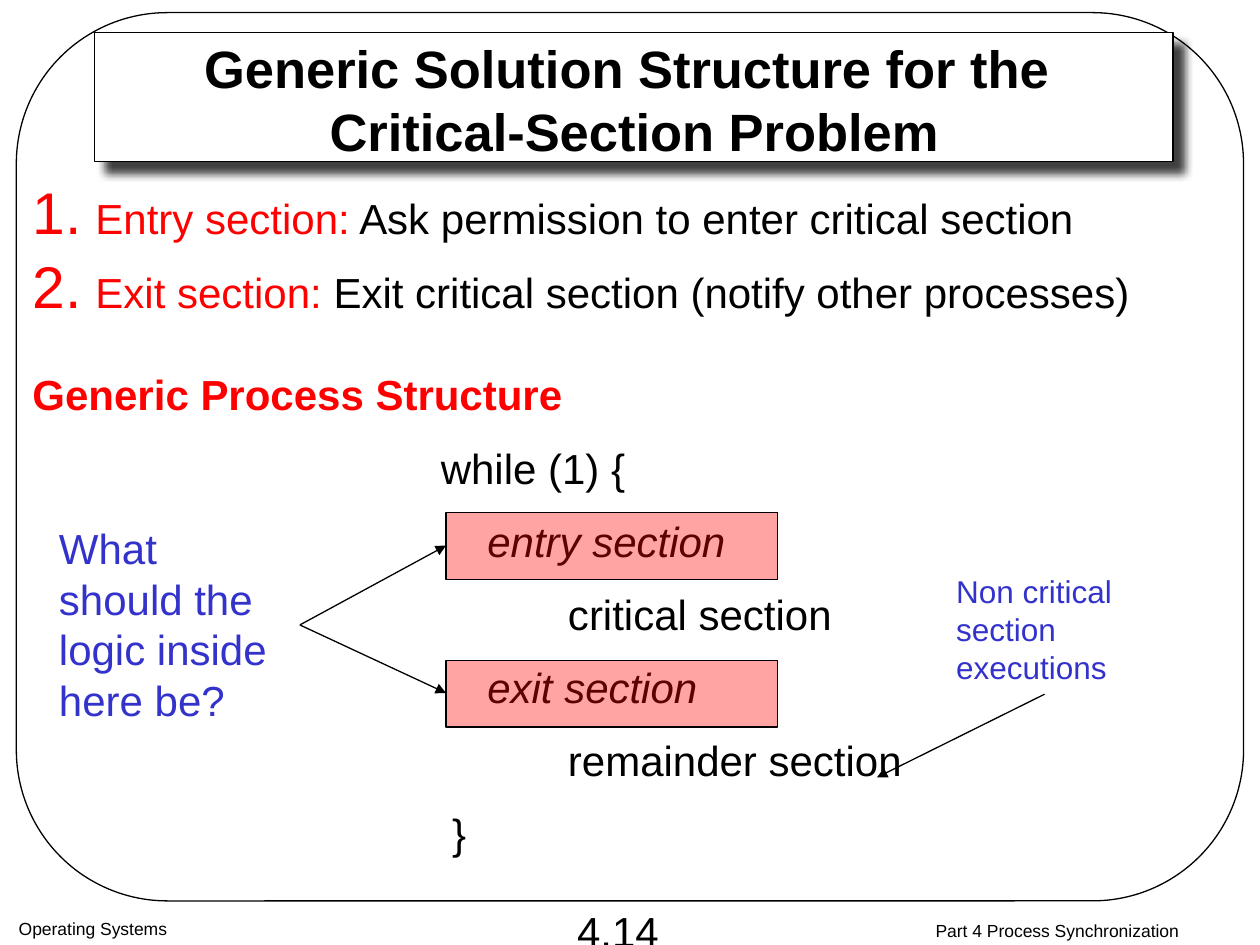
from dataclasses import dataclass

from lxml import etree
from pptx import Presentation
from pptx.dml.color import RGBColor
from pptx.enum.shapes import MSO_CONNECTOR, MSO_SHAPE
from pptx.enum.text import MSO_ANCHOR, PP_ALIGN
from pptx.oxml.ns import qn
from pptx.util import Inches, Pt

RECT = MSO_SHAPE.RECTANGLE
ROUND = MSO_SHAPE.ROUNDED_RECTANGLE
LINE = MSO_CONNECTOR.STRAIGHT
LEFT, CENTER = PP_ALIGN.LEFT, PP_ALIGN.CENTER
TOP, MIDDLE = MSO_ANCHOR.TOP, MSO_ANCHOR.MIDDLE
FONT = "Arial"
COLS, ROWS = 100, 75
WIDTH, HEIGHT = Inches(10), Inches(7.5)
HUES = {"ink": "000000", "paper": "FFFFFF", "red": "FF0000", "blue": "3333CC"}


@dataclass
class Area:
    col: float
    row: float
    wide: float
    tall: float

    def place(self) -> tuple:
        return (across(self.col), down(self.row),
                across(self.wide), down(self.tall))


@dataclass
class Span:
    text: str
    hue: str = "ink"
    bold: bool = False
    slant: bool = False


@dataclass
class Item:
    spans: list
    inset: float = 0
    gap: float = 13
    count: bool = False


@dataclass
class Label:
    area: Area
    items: list
    size: float
    align: PP_ALIGN = LEFT
    anchor: MSO_ANCHOR = TOP
    wrap: bool = True


@dataclass
class Arrow:
    start: tuple
    end: tuple


def across(cols: float) -> int:
    return round(WIDTH * cols / COLS)


def down(rows: float) -> int:
    return round(HEIGHT * rows / ROWS)


def tint(hue: str) -> RGBColor:
    return RGBColor.from_string(HUES[hue])


def node(base, tag: str, **attrs):
    return etree.SubElement(base, qn(tag), attrs)


def draw_box(slide, kind, area: Area, hue: str = "", alpha: int = 100):
    box = slide.shapes.add_shape(kind, *area.place())
    box.shadow.inherit = False
    if hue:
        box.fill.solid()
        box.fill.fore_color.rgb = tint(hue)
        if alpha < 100:
            color = box.fill._xPr.find(qn("a:solidFill"))[0]
            node(color, "a:alpha", val=str(alpha * 1000))
    else:
        box.fill.background()
    box.line.color.rgb = tint("ink")
    box.line.width = Pt(0.75)
    return box


def cast(box) -> None:
    glow = box._element.spPr.find(qn("a:effectLst"))
    drop = node(glow, "a:outerShdw", blurRad=str(Pt(5)), dist=str(Pt(8.5)),
                dir="2700000", algn="tl", rotWithShape="0")
    color = node(drop, "a:srgbClr", val=HUES["ink"])
    node(color, "a:alpha", val="75000")


def draw_text(slide, label: Label) -> None:
    box = slide.shapes.add_textbox(*label.area.place())
    frame = box.text_frame
    frame.word_wrap = label.wrap
    frame.vertical_anchor = label.anchor
    for rank, item in enumerate(label.items):
        para = frame.add_paragraph() if rank else frame.paragraphs[0]
        para.alignment = label.align
        if rank:
            para.space_before = Pt(item.gap)
        props = para._p.get_or_add_pPr()
        if item.inset:
            props.set("marL", str(across(item.inset)))
        if item.count:
            props.set("indent", str(-across(item.inset)))
            node(props, "a:buSzPct", val="140000")
            node(props, "a:buFont", typeface=FONT)
            node(props, "a:buAutoNum", type="arabicPeriod")
        para.font.size = Pt(label.size)
        for span in item.spans:
            if "\v" in span.text:
                para.text = span.text
                runs = para.runs
            else:
                runs = [para.add_run()]
                runs[0].text = span.text
            for run in runs:
                font = run.font
                font.name, font.size = FONT, Pt(label.size)
                font.bold, font.italic = span.bold, span.slant
                font.color.rgb = tint(span.hue)


def draw_arrow(slide, arrow: Arrow) -> None:
    (col, row), (last, base) = arrow.start, arrow.end
    link = slide.shapes.add_connector(
        LINE, across(col), down(row), across(last), down(base))
    link.line.color.rgb = tint("ink")
    link.line.width = Pt(0.75)
    node(link.line._get_or_add_ln(), "a:tailEnd", type="triangle")
    node(link._element.spPr, "a:effectLst")


def plain(text: str, hue: str = "ink") -> list:
    return [Item([Span(text, hue)])]


def main() -> None:
    deck = Presentation()
    deck.slide_width, deck.slide_height = WIDTH, HEIGHT
    slide = deck.slides.add_slide(deck.slide_layouts[6])

    frame = draw_box(slide, ROUND, Area(1.3, 1, 97.4, 70.5))
    frame.adjustments[0] = 0.17
    cast(draw_box(slide, RECT, Area(7.5, 2.6, 85.6, 10.2), "paper"))

    title = "Generic Solution Structure for the \vCritical-Section Problem"
    steps = [
        ("Entry section:", " Ask permission to enter critical section"),
        ("Exit section: ", "Exit critical section (notify other processes)"),
    ]
    code = [
        ("while (1) {", 32.4, False),
        ("entry section", 36.1, True),
        ("critical section", 42.5, False),
        ("exit section", 36.1, True),
        ("remainder section", 42.5, False),
        ("}", 33.3, False),
    ]
    body = [Item([Span(name, "red"), Span(text)], 5, 13.5, True)
            for name, text in steps]
    body.append(Item([Span("Generic Process Structure", "red", True)], gap=29.6))
    body += [Item([Span(text, slant=slant)], inset)
             for text, inset, slant in code]

    labels = [
        Label(Area(68.3, 72.5, 31.2, 3.5),
              plain("Part 4 Process Synchronization"), 10, CENTER),
        Label(Area(44.6, 71.4, 8.9, 5), plain("4.14"), 24, CENTER, MIDDLE, False),
        Label(Area(0.5, 72.4, 38.8, 3.5), plain("Operating Systems"), 10),
        Label(Area(12.7, 5.4, 75.3, 5),
              [Item([Span(title, bold=True)])], 30, CENTER, MIDDLE),
        Label(Area(1.6, 14.8, 98.3, 56), body, 24),
        Label(Area(74.9, 44.9, 15.8, 10.1),
              plain("Non critical section executions", "blue"), 18),
        Label(Area(3.7, 41, 19, 17.2),
              plain("What should the logic inside here be?", "blue"), 24),
    ]
    for label in labels:
        draw_text(slide, label)

    for row in (40.7, 52.4):
        draw_box(slide, RECT, Area(35.4, row, 26.3, 5.3), "red", 36)
        draw_arrow(slide, Arrow((23.8, 49.6), (35.4, row + 2.6)))
    draw_arrow(slide, Arrow((82.9, 55.1), (69.6, 61.7)))
    deck.save("out.pptx")


if __name__ == "__main__":
    main()
